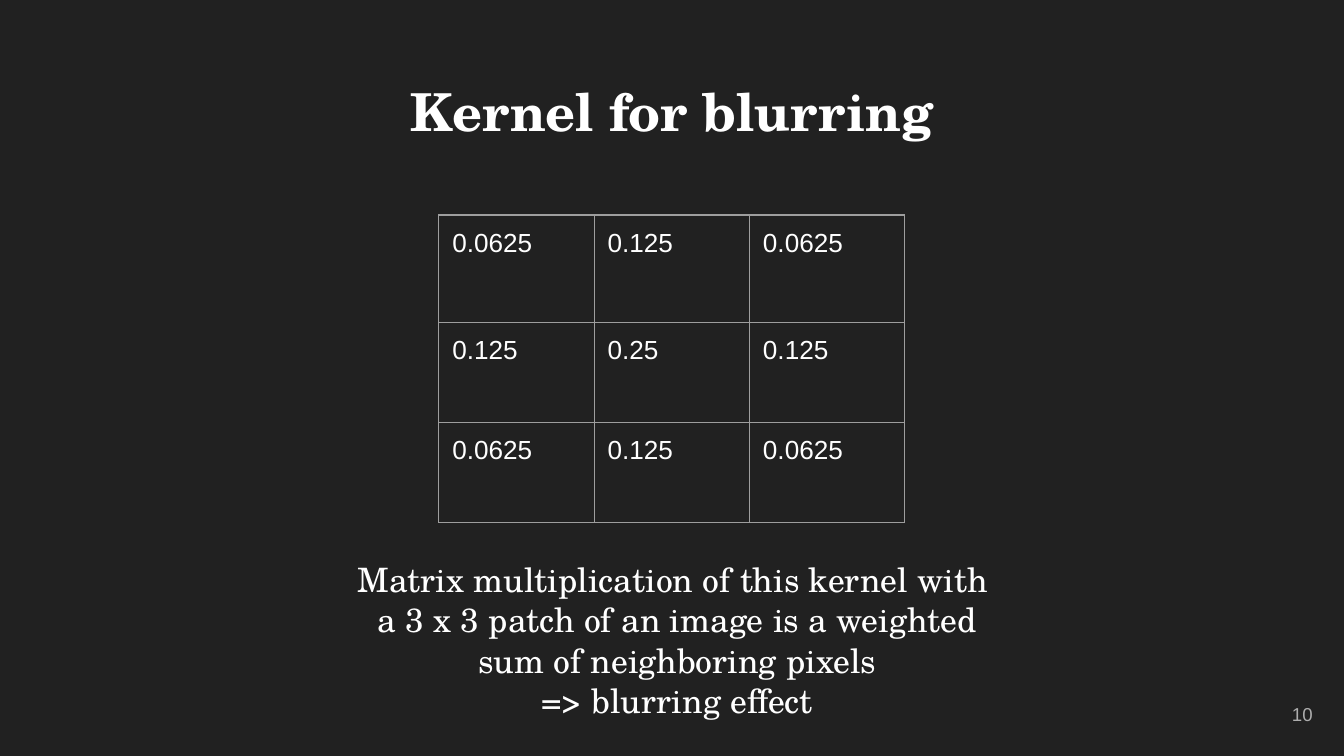
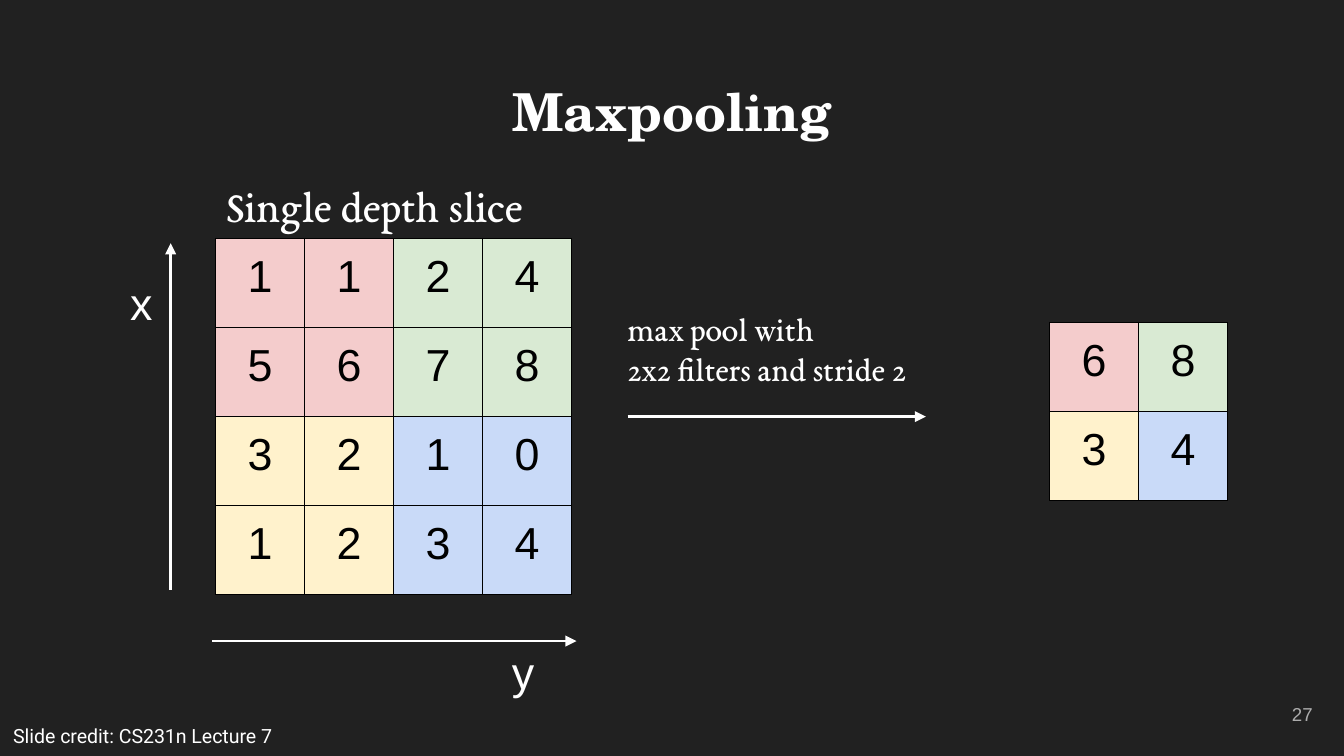
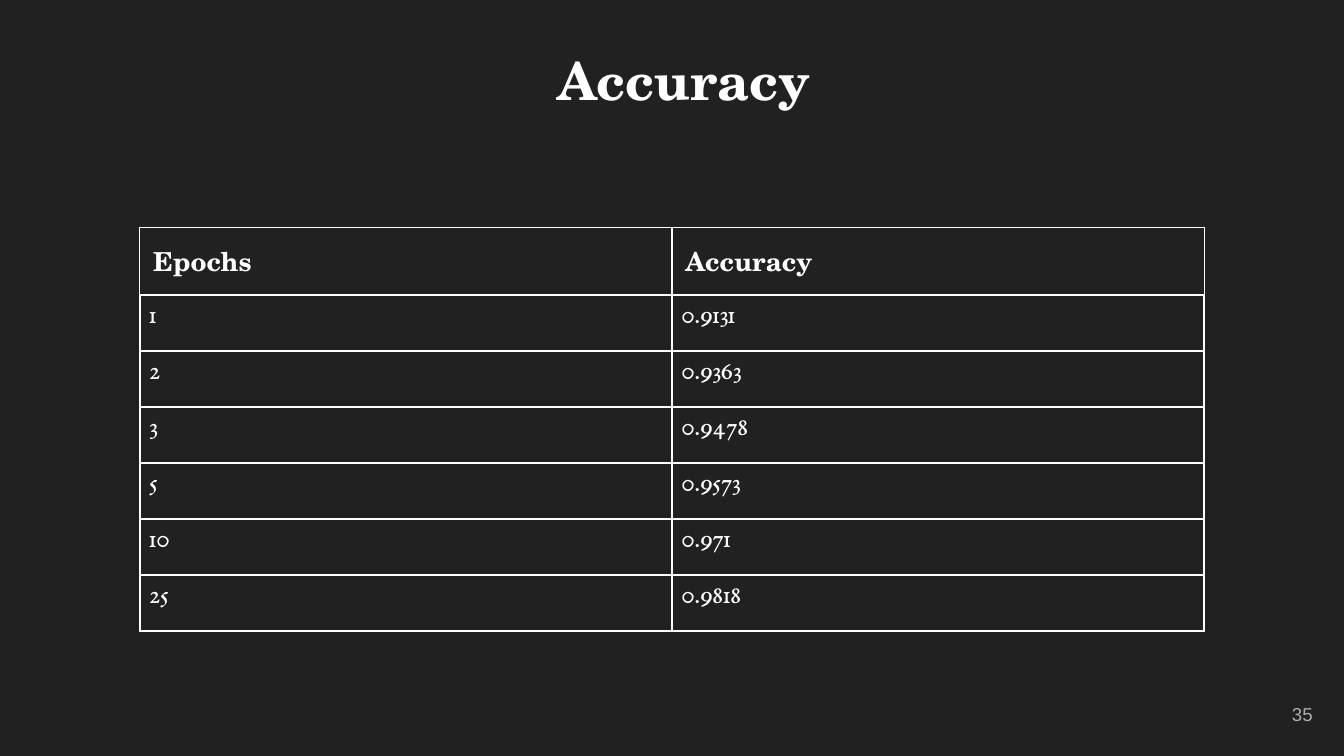
"""Builds three dark lecture slides on kernels, max pooling and accuracy."""
from dataclasses import dataclass

from lxml import etree
from pptx import Presentation
from pptx import util as u
from pptx.dml.color import RGBColor
from pptx.enum import shapes, text
from pptx.oxml.ns import qn


@dataclass(frozen=True)
class Theme:
    back: str = "212121"
    ink: str = "FFFFFF"
    dark: str = "000000"
    rule: str = "9E9E9E"
    faint: str = "ADADAD"
    pink: str = "F4CCCC"
    green: str = "D9EAD3"
    yellow: str = "FFF2CC"
    blue: str = "C9DAF8"
    display: str = "TeX Gyre Schola"
    serif: str = "EB Garamond"
    sans: str = "Arial"
    credit: str = "Roboto"
    title: float = 28
    large: float = 24
    body: float = 18
    cell: float = 14
    note: float = 10.5
    number: float = 10
    inset: float = 1
    tight: float = 0.7
    hairline: float = 0.75
    border: float = 1
    stroke: float = 1.5


LEFT, CENTER, RIGHT = text.PP_ALIGN.LEFT, text.PP_ALIGN.CENTER, text.PP_ALIGN.RIGHT
TOP, MIDDLE = text.MSO_ANCHOR.TOP, text.MSO_ANCHOR.MIDDLE
COLUMNS = 100


class Lecture:
    def __init__(self, theme):
        self.theme = theme
        self.deck = Presentation()
        self.deck.slide_width = u.Inches(10)
        self.deck.slide_height = self.deck.slide_width * 9 // 16
        self.page = None

    def grid(self, *units):
        return [round(self.deck.slide_width * unit / COLUMNS) for unit in units]

    def start(self, title, number, place=(3.4, 4.9, 93.2, 6.3)):
        self.page = self.deck.slides.add_slide(self.deck.slide_layouts[6])
        fill = self.page.background.fill
        fill.solid()
        fill.fore_color.rgb = RGBColor.from_string(self.theme.back)
        self.label(place, [title], self.theme.title, self.theme.display, CENTER, bold=True)
        self.label((92.65, 51, 6, 4.3), [str(number)], self.theme.number, self.theme.sans,
                   RIGHT, MIDDLE, self.theme.faint)

    def style(self, para, size, face, align=LEFT, color=None, bold=False):
        para.alignment = align
        para.font.size = u.Pt(size)
        para.font.name = face
        para.font.bold = bold
        para.font.color.rgb = RGBColor.from_string(color or self.theme.ink)

    def label(self, place, lines, size, face, align=LEFT, anchor=TOP, color=None, bold=False):
        frame = self.page.shapes.add_textbox(*self.grid(*place)).text_frame
        frame.word_wrap = True
        frame.vertical_anchor = anchor
        inset, = self.grid(self.theme.inset)
        frame.margin_left = frame.margin_right = inset
        frame.margin_top = frame.margin_bottom = inset
        frame.text = "\n".join(lines)
        for para in frame.paragraphs:
            self.style(para, size, face, align, color, bold)

    def arrow(self, *ends):
        line = self.page.shapes.add_connector(shapes.MSO_CONNECTOR.STRAIGHT, *self.grid(*ends))
        line.line.color.rgb = RGBColor.from_string(self.theme.ink)
        line.line.width = u.Pt(self.theme.stroke)
        etree.SubElement(line.line._get_or_add_ln(), qn("a:tailEnd"), type="triangle")
        etree.SubElement(line._element.spPr, qn("a:effectLst"))

    def table(self, left, top, width, heights, rows):
        shape = self.page.shapes.add_table(
            len(rows), len(rows[0]),
            *self.grid(left, top, width * len(rows[0]), sum(heights)))
        table = shape.table
        table.first_row = table.horz_banding = False
        for column in table.columns:
            column.width, = self.grid(width)
        for row, height, values in zip(table.rows, heights, rows):
            row.height, = self.grid(height)
            for cell, value in zip(row.cells, values):
                cell.text = value
        return table

    def dress(self, cell, size, face, edge, weight, align=LEFT, color=None, bold=False,
              fill=None, inset=None, anchor=TOP, base=None):
        margin, = self.grid(inset or self.theme.inset)
        cell.margin_left = cell.margin_right = margin
        cell.margin_top = cell.margin_bottom = margin
        cell.vertical_anchor = anchor
        self.style(cell.text_frame.paragraphs[0], size, face, align, color, bold)
        properties = cell._tc.get_or_add_tcPr()
        for name in ("a:lnL", "a:lnR", "a:lnT", "a:lnB"):
            points = base if base and name == "a:lnB" else weight
            line = etree.SubElement(properties, qn(name), w=str(u.Pt(points)))
            solid = etree.SubElement(line, qn("a:solidFill"))
            etree.SubElement(solid, qn("a:srgbClr"), val=edge)
        if fill:
            cell.fill.solid()
            cell.fill.fore_color.rgb = RGBColor.from_string(fill)
        else:
            cell.fill.background()

    def kernel(self, left, top, width, heights, rows):
        for cell in self.table(left, top, width, heights, rows).iter_cells():
            self.dress(cell, self.theme.cell, self.theme.sans, self.theme.rule,
                       self.theme.hairline)

    def quadrants(self, left, top, rows):
        theme, side, half = self.theme, 6.62, len(rows) // 2
        colors = ((theme.pink, theme.green), (theme.yellow, theme.blue))
        table = self.table(left, top, side, [side] * len(rows), rows)
        for r in range(len(rows)):
            for c in range(len(rows)):
                self.dress(table.cell(r, c), theme.large, theme.sans, theme.dark,
                           theme.hairline, CENTER, theme.dark,
                           fill=colors[r // half][c // half])

    def records(self, left, top, width, heights, rows):
        theme = self.theme
        table = self.table(left, top, width, heights, rows)
        for index, row in enumerate(table.rows):
            for cell in row.cells:
                if index == 0:
                    self.dress(cell, theme.cell, theme.display, theme.ink, theme.hairline,
                               bold=True, anchor=MIDDLE, base=theme.border)
                else:
                    self.dress(cell, theme.cell, theme.serif, theme.ink, theme.border,
                               inset=theme.tight)


theme = Theme()
lecture = Lecture(theme)

lecture.start("Kernel for blurring", 10)
outer, middle = ("0.0625", "0.125", "0.0625"), ("0.125", "0.25", "0.125")
lecture.kernel(32.65, 16, 11.56, (8, 7.45, 7.45), (outer, middle, outer))
lecture.label((24.55, 40.6, 51.7, 12),
              ["Matrix multiplication of this kernel with ",
               "a 3 x 3 patch of an image is a weighted sum of neighboring pixels",
               "=> blurring effect"], theme.body, theme.display, CENTER)

lecture.start("Maxpooling", 27)
lecture.label((0, 53.2, 22.7, 3.1), ["Slide credit: CS231n Lecture 7"],
              theme.note, theme.credit, anchor=MIDDLE)
lecture.quadrants(16.05, 17.75, ("1124", "5678", "3210", "1234"))
lecture.label((15.85, 12.2, 28.6, 6.2), ["Single depth slice"], theme.large, theme.serif)
lecture.arrow(12.7, 43.9, 12.7, 18.1)
lecture.label((8.7, 19.5, 4.3, 5.1), ["x"], theme.large, theme.sans)
lecture.arrow(15.8, 47.7, 42.9, 47.7)
lecture.label((37.1, 47, 4.3, 4), ["y"], theme.large, theme.sans)
lecture.arrow(46.7, 31, 68.9, 31)
lecture.label((45.7, 21.9, 29.3, 8), ["max pool with ", "2x2 filters and stride 2"],
              theme.body, theme.serif)
lecture.quadrants(78.1, 24, ("68", "34"))

lecture.start("Accuracy", 35, (6.65, 2.6, 88.5, 8.3))
lecture.records(10.4, 16.9, 39.6, [5.05] + [4.17] * 6,
                (("Epochs", "Accuracy"), ("1", "0.9131"), ("2", "0.9363"), ("3", "0.9478"),
                 ("5", "0.9573"), ("10", "0.971"), ("25", "0.9818")))

lecture.deck.save("out.pptx")
